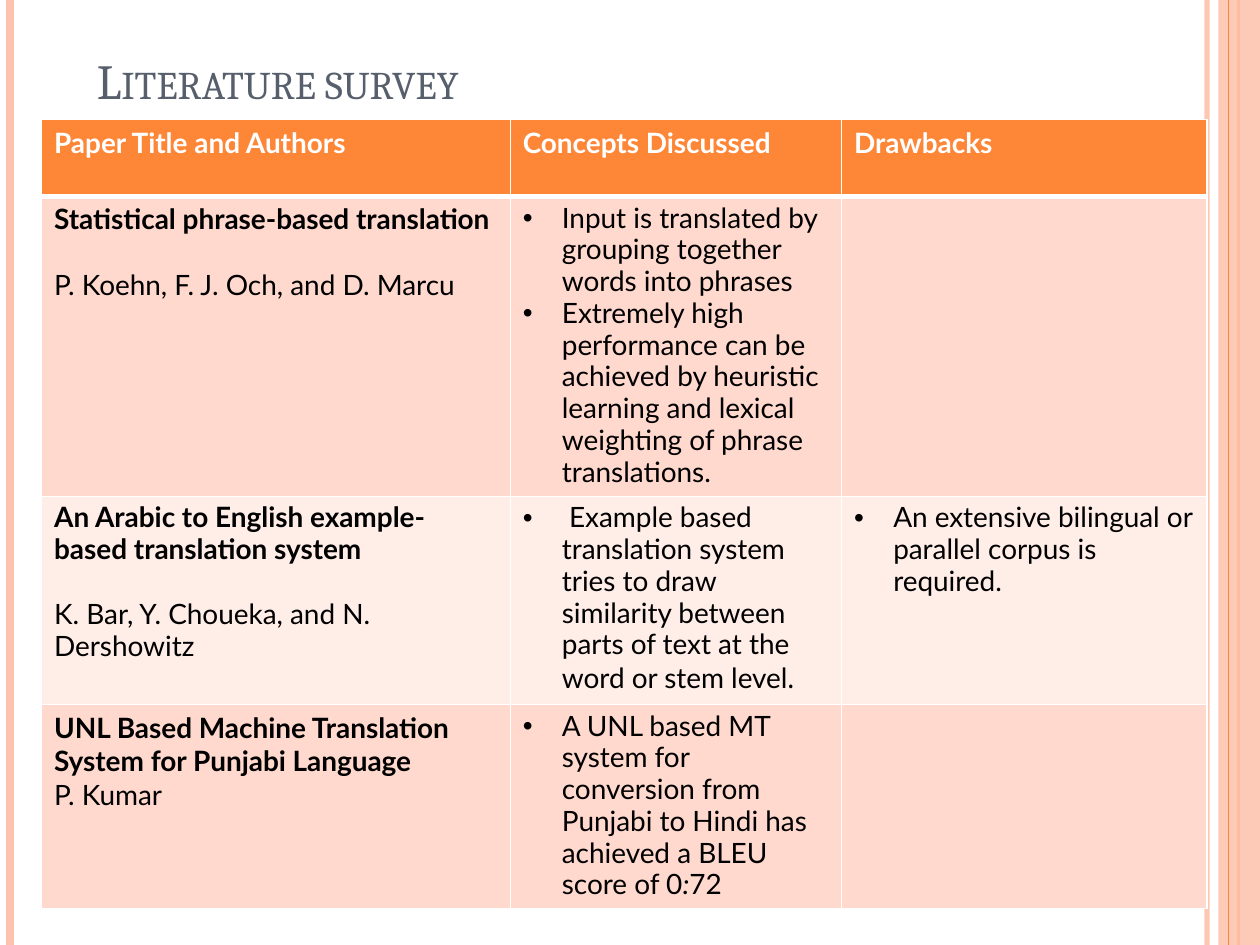
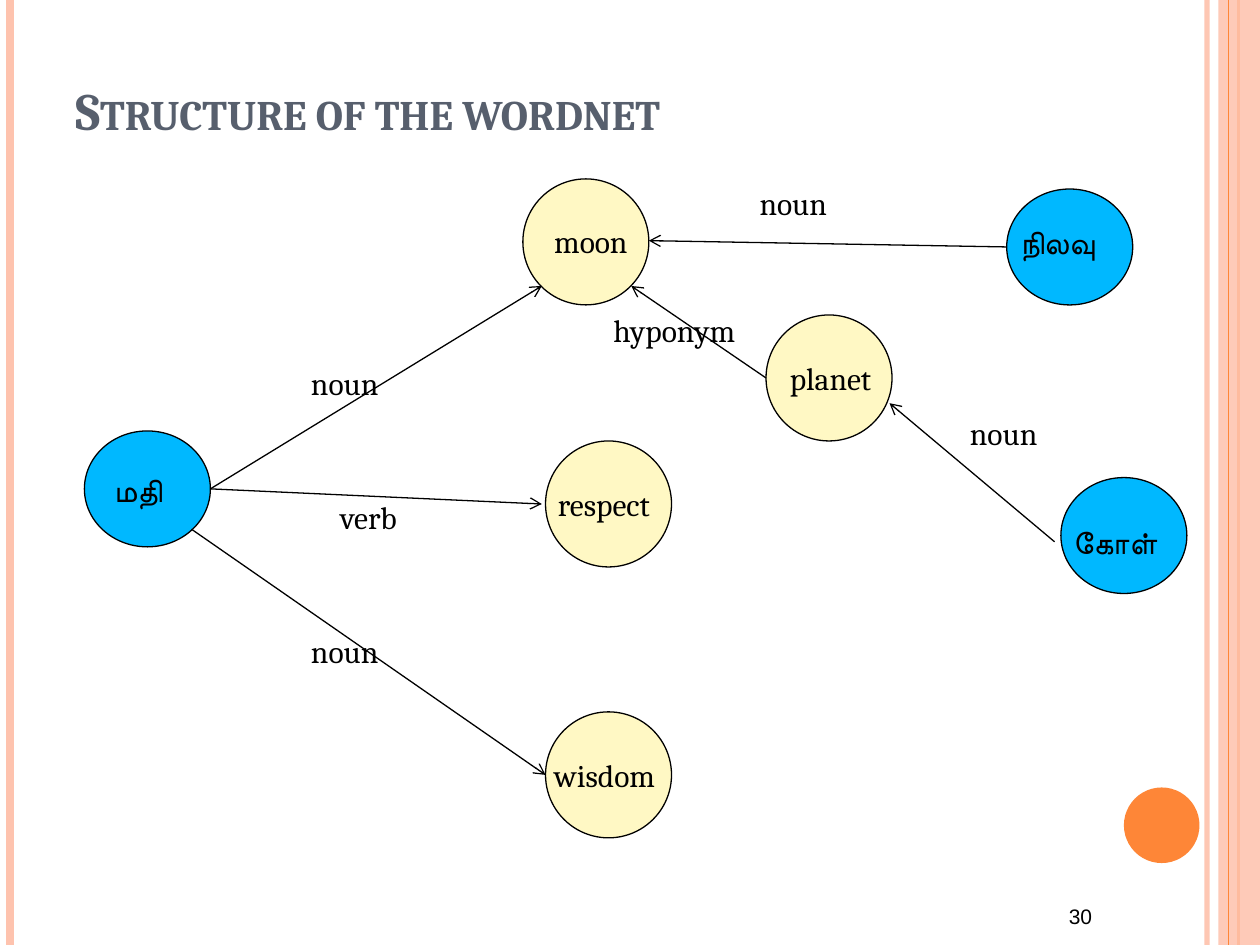
from lxml.etree import SubElement
from pptx import Presentation
from pptx.dml.color import RGBColor
from pptx.enum.shapes import MSO_CONNECTOR, MSO_SHAPE
from pptx.enum.text import MSO_ANCHOR, PP_ALIGN
from pptx.oxml.ns import qn
from pptx.util import Inches, Pt

ORANGE = "FE8637"
PEACH = "FEC3AE"
SLATE = "575F6D"
WHITE = "FFFFFF"
BLACK = "000000"
BLUE = "00B8FF"
CREAM = "FFF8C4"
ROW_TINTS = ("FFD9CE", "FFEDE8")
SERIF = "Cambria"
SANS = "Lato"

COLUMN_WIDTHS = (3.72, 2.63, 2.9)
ROW_HEIGHTS = (0.61, 2.37, 1.64, 1.61)
HEADINGS = ("Paper Title and Authors", "Concepts Discussed", "Drawbacks")
PAPERS = (
    {
        "title": "Statistical phrase-based translation",
        "authors": "P. Koehn, F. J. Och, and D. Marcu",
        "spacing": 0.99,
        "gap": 19,
        "concepts": (
            ("Input is translated by grouping together words into phrases",),
            ("Extremely high performance can be achieved by heuristic learning "
             "and lexical weighting of phrase translations.",),
        ),
        "drawbacks": (),
    },
    {
        "title": "An Arabic to English example-based translation system",
        "authors": "K. Bar, Y. Choueka, and N. Dershowitz",
        "spacing": 0.95,
        "gap": 19,
        "concepts": (
            (" Example based translation system tries to draw similarity between "
             "parts of text at the word or stem level",
             (".", {"size": Pt(18), "name": SERIF})),
        ),
        "drawbacks": (("An extensive bilingual or parallel corpus is required.",),),
    },
    {
        "title": "UNL Based Machine Translation System for Punjabi Language",
        "authors": "P. Kumar",
        "spacing": 1.0,
        "gap": 0,
        "concepts": (
            ("A UNL based MT system for conversion from Punjabi to Hindi has "
             "achieved a BLEU score of 0",
             (":", {"italic": True}), "72"),
        ),
        "drawbacks": (),
    },
)

TAMIL_NODES = ((0.67, 3.42), (8.42, 3.79), (7.99, 1.5))
ENGLISH_NODES = ((4.15, 1.42), (4.33, 3.5), (4.33, 5.65), (6.08, 2.5))
ARROWS = (
    ((1.67, 3.88), (4.3, 2.27)),
    ((1.52, 4.2), (4.33, 6.15)),
    ((1.67, 3.88), (4.3, 4)),
    ((8.37, 4.3), (7.06, 3.2)),
    ((7.99, 1.96), (5.15, 1.91)),
    ((6.08, 3), (5.01, 2.27)),
)
LABELS = (
    ("மதி", 0.81, 3.69, 0.7),
    ("moon", 4.3, 1.71, 0.83),
    ("respect", 4.33, 3.8, 1.03),
    ("wisdom", 4.3, 5.95, 1.06),
    ("planet", 6.17, 2.8, 0.89),
    ("noun", 2.37, 2.84, 0.76),
    ("noun", 2.37, 4.97, 0.76),
    ("verb", 2.6, 3.9, 0.69),
    ("noun", 5.93, 1.41, 0.76),
    ("noun", 7.6, 3.24, 0.76),
    ("hyponym", 4.77, 2.42, 1.23),
)
WIDE_LABELS = (("கோள்", 8.42, 4.1, 1.25), ("நிலவு", 8, 1.72, 1.35))


def color(code):
    return RGBColor.from_string(code)


def set_alpha(element, percent):
    target = next(element.iter(qn("a:srgbClr")))
    SubElement(target, qn("a:alpha"), val=str(percent * 1000))


def style_font(font, name, size, code, bold=False):
    font.name = name
    font.size = Pt(size)
    font.bold = bold
    font.color.rgb = color(code)


def add_line(page, start, end, code, width, arrow=False):
    line = page.shapes.add_connector(
        MSO_CONNECTOR.STRAIGHT, *(Inches(value) for value in (*start, *end)))
    line.line.color.rgb = color(code)
    line.line.width = Pt(width)
    if arrow:
        SubElement(line.line._get_or_add_ln(), qn("a:tailEnd"), type="arrow")
    SubElement(line._element.spPr, qn("a:effectLst"))
    return line


def add_block(page, kind, left, top, width, height, fill, outline=None):
    block = page.shapes.add_shape(
        kind, Inches(left), Inches(top), Inches(width), Inches(height))
    block.shadow.inherit = False
    block.fill.solid()
    block.fill.fore_color.rgb = color(fill)
    if outline:
        block.line.color.rgb = color(outline)
        block.line.width = Pt(0.75)
    else:
        block.line.fill.background()
    return block


def add_text(page, text, left, top, width, height, size, name=SERIF, code=BLACK,
             bold=False, wrap=True, anchor=MSO_ANCHOR.TOP, align=PP_ALIGN.LEFT):
    box = page.shapes.add_textbox(
        Inches(left), Inches(top), Inches(width), Inches(height))
    box.text_frame.word_wrap = wrap
    box.text_frame.vertical_anchor = anchor
    para = box.text_frame.paragraphs[0]
    para.text = text
    para.alignment = align
    style_font(para.font, name, size, code, bold)
    return para


def add_title(page, text, left, top, width, height, size, bold=False):
    para = add_text(page, text, left, top, width, height, size, code=SLATE,
                    bold=bold, anchor=MSO_ANCHOR.BOTTOM)
    for span in para.runs:
        span.font._element.set("cap", "small")


def add_side_bands(page):
    def band(x, code, width):
        return add_line(page, (x, 0), (x, 7.5), code, width)

    set_alpha(band(9.58, PEACH, 3)._element.spPr, 93)
    band(0.08, PEACH, 4.5)
    band(9.83, ORANGE, 1.5)
    strip = add_block(page, MSO_SHAPE.RECTANGLE, 9.67, 0, 0.33, 7.5, PEACH)
    set_alpha(strip._element.spPr, 87)
    band(9.75, ORANGE, 0.75)


def style_cell(cell, fill, top=1, bottom=1):
    properties = cell._tc.get_or_add_tcPr()
    for side, width in (("L", 1), ("R", 1), ("T", top), ("B", bottom)):
        border = SubElement(properties, qn("a:ln" + side), w=str(Pt(width)))
        paint = SubElement(border, qn("a:solidFill"))
        SubElement(paint, qn("a:srgbClr"), val=WHITE)
    cell.fill.solid()
    cell.fill.fore_color.rgb = color(fill)


def fill_paper(cell, paper):
    frame = cell.text_frame
    title, authors = frame.paragraphs[0], frame.add_paragraph()
    for para, key in ((title, "title"), (authors, "authors")):
        para.text = paper[key]
        para.line_spacing = paper["spacing"]
        style_font(para.font, SANS, 16, BLACK, bold=key == "title")
    authors.space_before = Pt(paper["gap"])


def fill_bullets(cell, items):
    frame = cell.text_frame
    for index, pieces in enumerate(items):
        para = frame.add_paragraph() if index else frame.paragraphs[0]
        para.line_spacing = 0.95
        properties = para._p.get_or_add_pPr()
        properties.set("marL", str(Inches(0.31)))
        properties.set("indent", str(-Inches(0.31)))
        SubElement(properties, qn("a:buFont"), typeface="Arial")
        SubElement(properties, qn("a:buChar"), char="•")
        style_font(para.font, SANS, 16, BLACK)
        for piece in pieces:
            text, changes = (piece, {}) if isinstance(piece, str) else piece
            span = para.add_run()
            span.text = text
            for attribute, value in changes.items():
                setattr(span.font, attribute, value)


def add_survey_table(page):
    table = page.shapes.add_table(
        len(ROW_HEIGHTS), len(COLUMN_WIDTHS), Inches(0.33), Inches(0.95),
        Inches(sum(COLUMN_WIDTHS)), Inches(sum(ROW_HEIGHTS))).table
    for column, width in zip(table.columns, COLUMN_WIDTHS):
        column.width = Inches(width)
    for row, height in zip(table.rows, ROW_HEIGHTS):
        row.height = Inches(height)
    for cell, heading in zip(table.rows[0].cells, HEADINGS):
        style_cell(cell, ORANGE, bottom=3)
        para = cell.text_frame.paragraphs[0]
        para.text = heading
        style_font(para.font, SANS, 16, WHITE, bold=True)
    for index, paper in enumerate(PAPERS):
        cells = table.rows[index + 1].cells
        for cell in cells:
            style_cell(cell, ROW_TINTS[index % 2], top=1 if index else 3)
        fill_paper(cells[0], paper)
        fill_bullets(cells[1], paper["concepts"])
        fill_bullets(cells[2], paper["drawbacks"])


def add_wordnet(page):
    for left, top in TAMIL_NODES:
        add_block(page, MSO_SHAPE.OVAL, left, top, 1, 0.92, BLUE, BLACK)
    for left, top in ENGLISH_NODES:
        add_block(page, MSO_SHAPE.OVAL, left, top, 1, 1, CREAM, BLACK)
    for start, end in ARROWS:
        add_line(page, start, end, BLACK, 0.75, arrow=True)
    for labels, wrap in ((LABELS, False), (WIDE_LABELS, True)):
        for text, left, top, width in labels:
            add_text(page, text, left, top, width, 0.4, 18, wrap=wrap)


def add_page(deck):
    page = deck.slides.add_slide(deck.slide_layouts[6])
    add_side_bands(page)
    return page


def main():
    deck = Presentation()
    deck.slide_width, deck.slide_height = Inches(10), Inches(7.5)

    survey = add_page(deck)
    add_title(survey, "Literature survey", 0.67, 0.3, 8, 0.62, 28)
    add_survey_table(survey)

    wordnet = add_page(deck)
    add_block(wordnet, MSO_SHAPE.OVAL, 8.92, 6.25, 0.6, 0.6, ORANGE)
    add_title(wordnet, "Structure of the wordnet", 0.5, 0.3, 7.99, 0.87, 30, bold=True)
    add_text(wordnet, "30", 8.3, 7.09, 0.55, 0.33, 12, name="Arial",
             anchor=MSO_ANCHOR.BOTTOM, align=PP_ALIGN.CENTER)
    add_wordnet(wordnet)

    deck.save("out.pptx")


if __name__ == "__main__":
    main()
